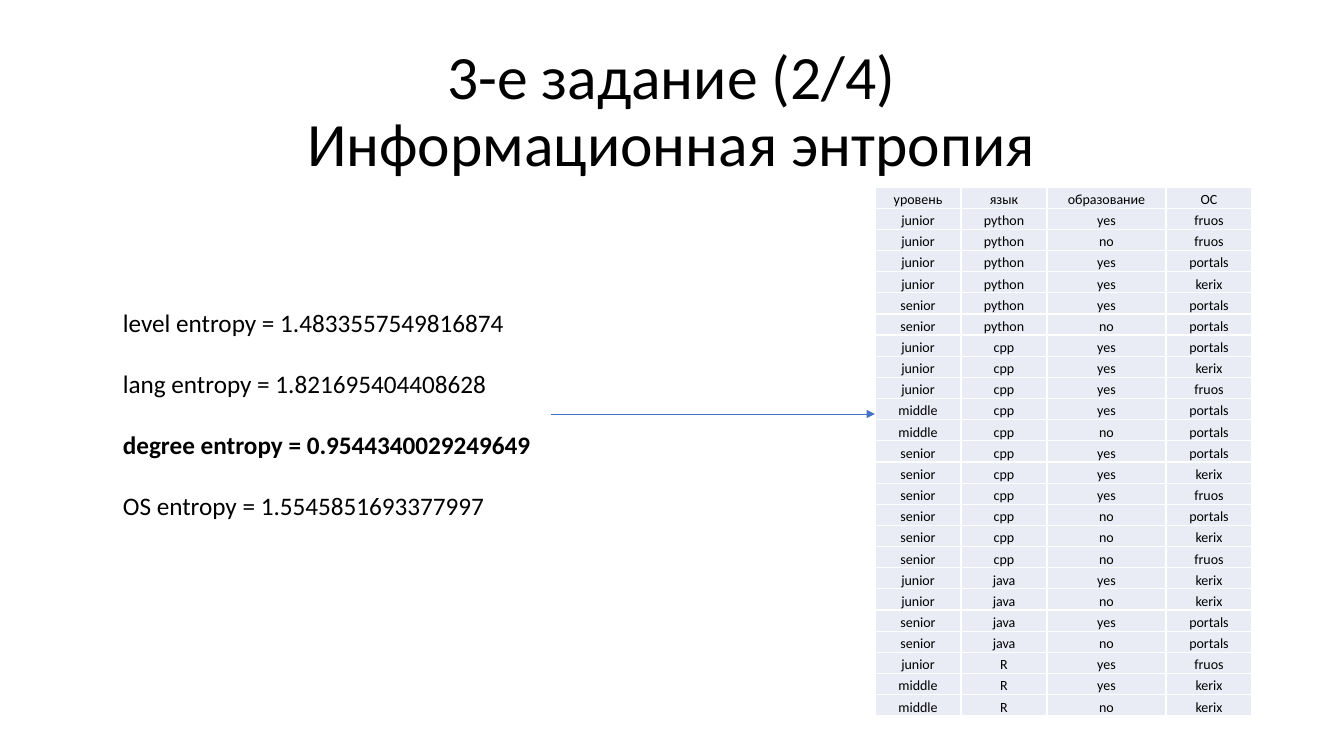
from lxml import etree
from pptx import Presentation
from pptx import util as u
from pptx.dml.color import RGBColor
from pptx.enum import shapes, text
from pptx.oxml.ns import qn

EMU_PER_PX = 914400 / 100.8


def px(n):
    return u.Emu(round(n * EMU_PER_PX))


def color(value):
    return RGBColor.from_string(value)


class SlideBuilder:
    font, ink, accent = "Calibri", "000000", "4472C4"
    cell_fill, border = "E9EBF5", "FFFFFF"

    def __init__(self, prs):
        self.s = prs.slides.add_slide(prs.slide_layouts[5])

    def run(self, p, content, size, bold=False):
        r = p.add_run()
        r.text = content
        r.font.name, r.font.size, r.font.bold = self.font, u.Pt(size), bold
        r.font.color.rgb = color(self.ink)

    def title(self, x, y, w, h, lines, size):
        sp = self.s.shapes.title
        sp.left, sp.top, sp.width, sp.height = map(px, (x, y, w, h))
        tf = sp.text_frame
        tf.word_wrap, tf.auto_size = True, text.MSO_AUTO_SIZE.NONE
        tf.vertical_anchor = text.MSO_ANCHOR.MIDDLE
        p = tf.paragraphs[0]
        p.alignment, p.line_spacing = text.PP_ALIGN.CENTER, 0.9
        for i, line in enumerate(lines):
            if i:
                p.add_line_break()
            self.run(p, line, size)

    def text_box(self, x, y, w, h, lines, size, gap, bold_line):
        tf = self.s.shapes.add_textbox(*map(px, (x, y, w, h))).text_frame
        tf.word_wrap = True
        for i, line in enumerate(lines):
            p = tf.add_paragraph() if i else tf.paragraphs[0]
            p.space_before = u.Pt(gap if i else 0)
            self.run(p, line, size, bold=i == bold_line)

    def arrow(self, x1, y1, x2, y2, width):
        line = self.s.shapes.add_connector(
            shapes.MSO_CONNECTOR.STRAIGHT, *map(px, (x1, y1, x2, y2)))
        line.line.color.rgb, line.line.width = color(self.accent), u.Pt(width)
        etree.SubElement(line.line._get_or_add_ln(), qn("a:tailEnd"), type="triangle")
        etree.SubElement(line._element.spPr, qn("a:effectLst"))

    def table(self, x, y, h, widths, rows, size):
        frame = self.s.shapes.add_table(
            len(rows), len(widths), *map(px, (x, y, sum(widths), h)))
        tbl = frame.table
        tbl.first_row = tbl.horz_banding = False
        for column, w in zip(tbl.columns, widths):
            column.width = px(w)
        for i, row in enumerate(rows):
            for j, value in enumerate(row):
                self.cell(tbl.cell(i, j), value, size)

    def cell(self, cell, value, size):
        cell.margin_left = cell.margin_right = cell.margin_top = px(1)
        cell.margin_bottom = 0
        cell.vertical_anchor = text.MSO_ANCHOR.BOTTOM
        p = cell.text_frame.paragraphs[0]
        p.alignment = text.PP_ALIGN.CENTER
        self.run(p, value, size)
        tc_pr = cell._tc.get_or_add_tcPr()
        for side in ("lnL", "lnR", "lnT", "lnB"):
            ln = etree.SubElement(tc_pr, qn(f"a:{side}"), w=str(u.Pt(1)))
            solid = etree.SubElement(ln, qn("a:solidFill"))
            etree.SubElement(solid, qn("a:srgbClr"), val=self.border)
        cell.fill.solid()
        cell.fill.fore_color.rgb = color(self.cell_fill)


DEVELOPERS = """
уровень язык образование ОС
junior python yes fruos
junior python no fruos
junior python yes portals
junior python yes kerix
senior python yes portals
senior python no portals
junior cpp yes portals
junior cpp yes kerix
junior cpp yes fruos
middle cpp yes portals
middle cpp no portals
senior cpp yes portals
senior cpp yes kerix
senior cpp yes fruos
senior cpp no portals
senior cpp no kerix
senior cpp no fruos
junior java yes kerix
junior java no kerix
senior java yes portals
senior java no portals
junior R yes fruos
middle R yes kerix
middle R no kerix
"""

ENTROPIES = [
    "level entropy = 1.4833557549816874",
    "lang entropy = 1.821695404408628",
    "degree entropy = 0.9544340029249649",
    "OS entropy = 1.5545851693377997",
]


def main():
    prs = Presentation()
    prs.slide_width, prs.slide_height = px(1344), px(756)
    slide = SlideBuilder(prs)

    # Title
    slide.title(92, 40, 1159, 146,
                ["3-е задание (2/4)", "Информационная энтропия"], size=44)

    # Developer data
    rows = [line.split() for line in DEVELOPERS.strip().splitlines()]
    slide.table(875, 187, 529, [86, 86, 119, 86], rows, size=10)

    # Entropy of each column, with the lowest in bold
    slide.arrow(551, 414, 875, 414, width=0.5)
    slide.text_box(113, 302, 439, 224, ENTROPIES, size=18, gap=22, bold_line=2)

    prs.save("out.pptx")


if __name__ == "__main__":
    main()
